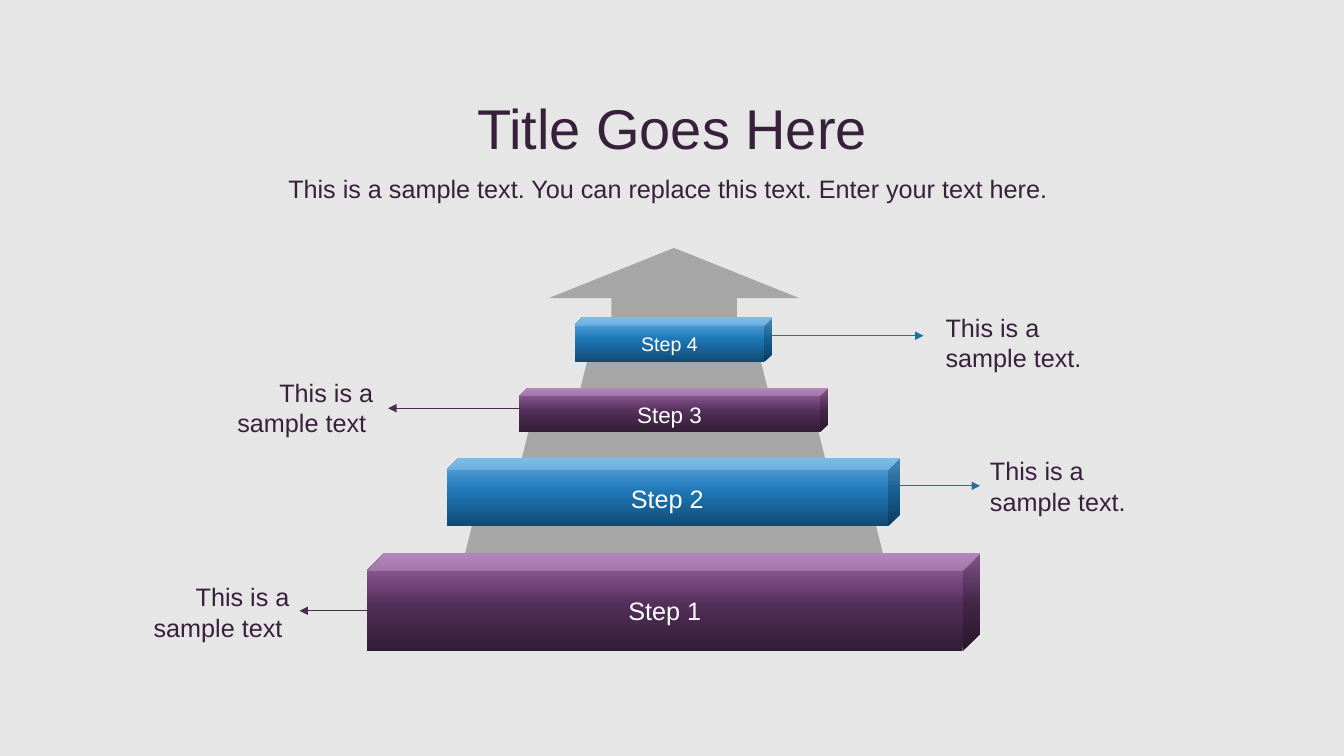
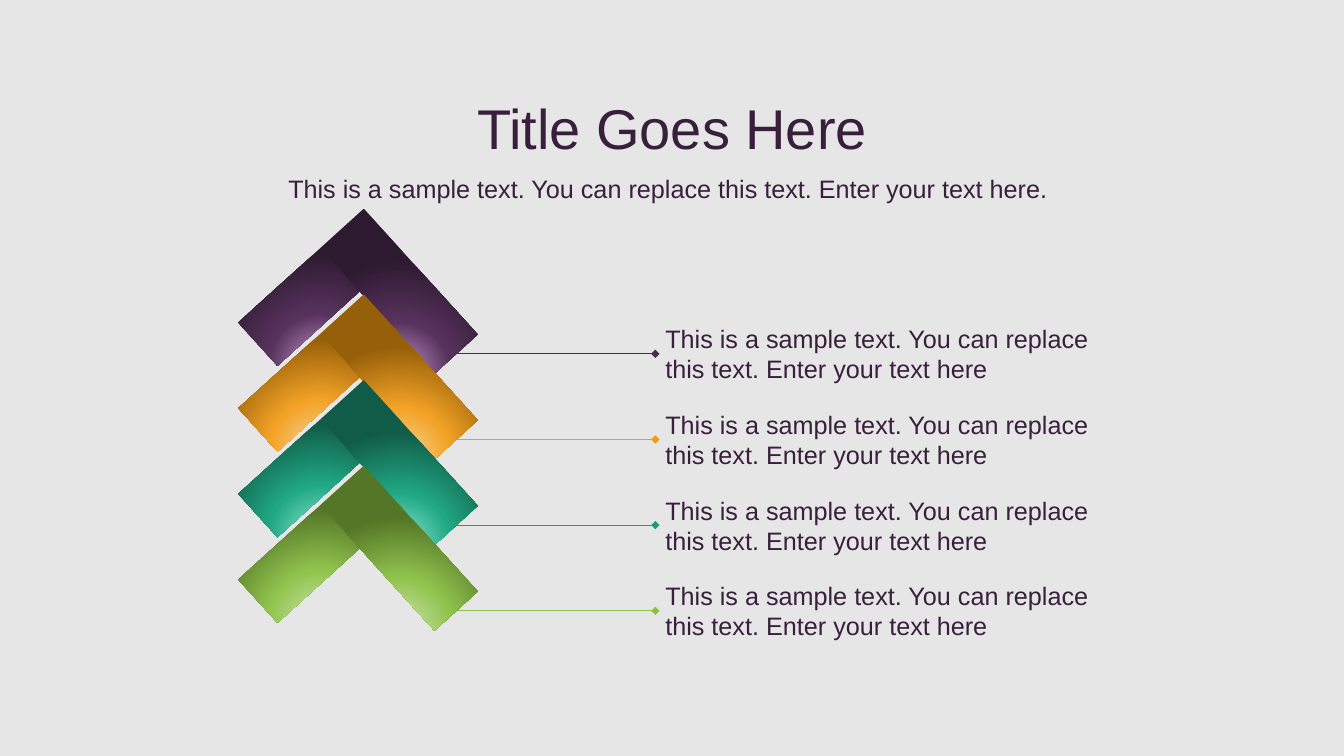
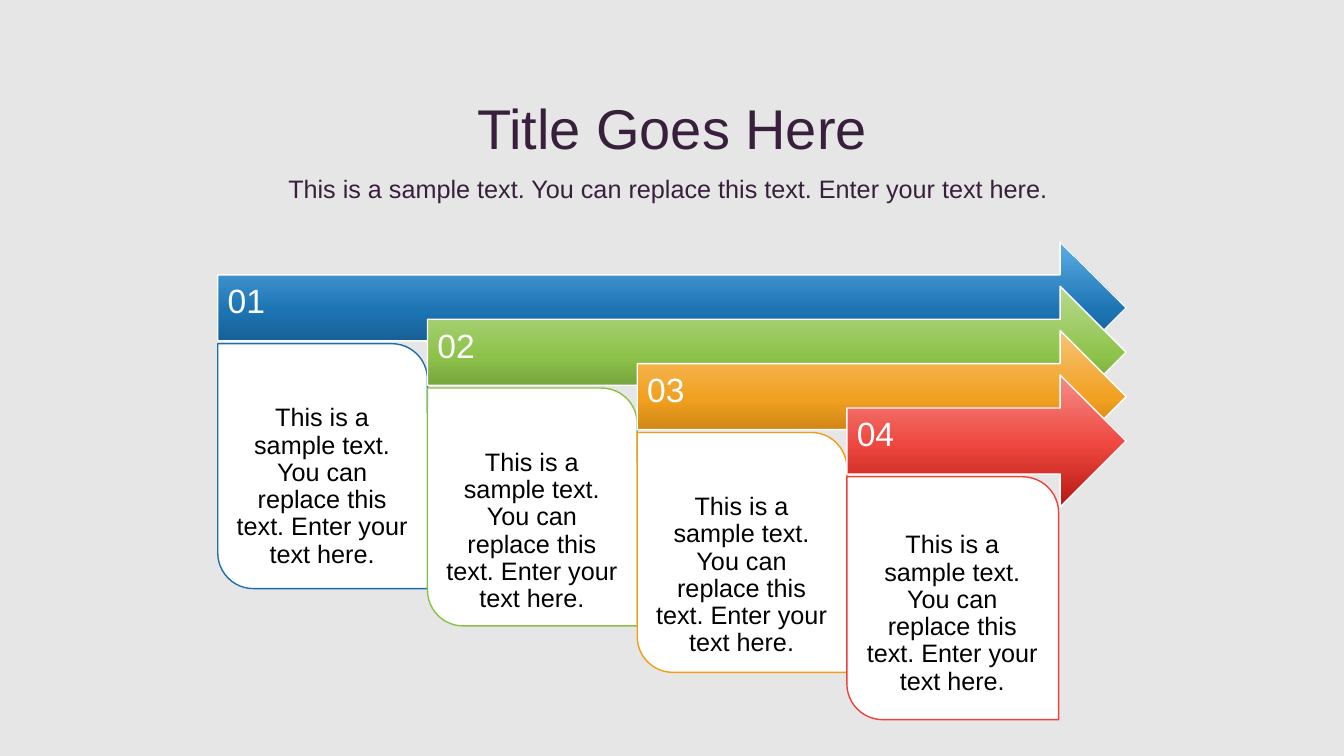
from lxml import etree
from pptx import Presentation
from pptx.dml.color import RGBColor
from pptx.enum.shapes import MSO_CONNECTOR, MSO_SHAPE
from pptx.enum.text import MSO_ANCHOR, MSO_AUTO_SIZE, PP_ALIGN
from pptx.oxml.ns import qn
from pptx.util import Inches, Pt

LEFT, MID, RIGHT = PP_ALIGN.LEFT, PP_ALIGN.CENTER, PP_ALIGN.RIGHT
TOP, CENTER = MSO_ANCHOR.TOP, MSO_ANCHOR.MIDDLE
FIXED = MSO_AUTO_SIZE.NONE
STRAIGHT = MSO_CONNECTOR.STRAIGHT
CUBE, BLOCK, CARD = MSO_SHAPE.CUBE, MSO_SHAPE.RECTANGLE, MSO_SHAPE.ROUND_2_DIAG_RECTANGLE
UP, ARROW, WEDGE = MSO_SHAPE.UP_ARROW, MSO_SHAPE.RIGHT_ARROW, MSO_SHAPE.TRAPEZOID

INK, PAPER, GRAY, WHITE, BLACK = "38203C", "E7E6E6", "A6A6A6", "FFFFFF", "000000"
PLUM, BLUE, GOLD, TEAL, LIME, RED = "4B2B50", "1B6FAB", "F19D19", "1D9A78", "8BC145", "ED423A"
BARS = {
    PLUM: ("321D36", "522F58", "A468AE"),
    BLUE: ("124A73", "1C74B3", "5DADE5"),
    LIME: ("5D842C", "8EC34B", "B9DA8F"),
    GOLD: ("A86B0A", "F1A020", "F7C475"),
    RED: ("B51811", "EE4840", "F48E89"),
}
GLOWS = {
    PLUM: ("C39AC9", "57325D", "2D1A30"),
    GOLD: ("F9D8A3", "F2A225", "965F09"),
    TEAL: ("91EAD2", "20A883", "115C48"),
    LIME: ("D1E6B5", "91C44E", "547627"),
}
LONG = "This is a sample text. You can replace this text. Enter your text here"


def paint(hue):
    """Turn a hex string into a colour."""
    return RGBColor.from_string(hue)


def place(left, top, width, height):
    """Turn a box in inches into lengths."""
    return Inches(left), Inches(top), Inches(width), Inches(height)


class Deck:
    """Holds the style and the current slide."""

    font = "Arial"

    def __init__(self):
        """Start an empty wide deck."""
        self.show = Presentation()
        self.show.slide_width, self.show.slide_height = Inches(13.33), Inches(7.5)
        fill = self.show.slide_master.background.fill
        fill.solid()
        fill.fore_color.rgb = paint(PAPER)

    def page(self):
        """Add a slide with its heading and lead line."""
        self.slide = self.show.slides.add_slide(self.show.slide_layouts[0])
        title, lead = self.slide.placeholders
        self.head(title, (0.82, 0.9, 11.69, 0.72), "Title Goes Here", 40)
        self.head(lead, (0.78, 1.6, 11.69, 0.53), LONG + ".", 18)

    def head(self, item, box, text, size):
        """Move and fill a placeholder."""
        item.left, item.top, item.width, item.height = place(*box)
        self.label(item, text, size, INK, MID)

    def label(self, item, text, size, hue, align, anchor=CENTER, pads=None, pitch=None):
        """Put one run of text in a shape."""
        frame = item.text_frame
        frame.word_wrap = True
        frame.auto_size = FIXED
        frame.vertical_anchor = anchor
        if pads:
            (frame.margin_left, frame.margin_top,
             frame.margin_right, frame.margin_bottom) = place(*pads)
        para = frame.paragraphs[0]
        para.alignment = align
        para.space_before = Pt(0)
        if pitch:
            para.line_spacing = pitch
        run = para.add_run()
        run.text = text
        run.font.name, run.font.size = self.font, Pt(size)
        run.font.color.rgb = paint(hue)

    def text(self, box, text, size=18, hue=INK, align=LEFT, **more):
        """Add a text box."""
        item = self.slide.shapes.add_textbox(*place(*box))
        self.label(item, text, size, hue, align, **more)

    def shape(self, kind, box, fill, edge=None, turn=0, adj=()):
        """Add a preset shape with a plain fill."""
        item = self.slide.shapes.add_shape(kind, *place(*box))
        item.shadow.inherit = False
        item.rotation = turn
        for spot, value in enumerate(adj):
            item.adjustments[spot] = value
        item.fill.solid()
        item.fill.fore_color.rgb = paint(fill)
        if edge:
            item.line.color.rgb = paint(edge)
            item.line.width = Pt(1)
        else:
            item.line.fill.background()
        return item

    def blend(self, item, hues, mid, glow=False):
        """Give a shape a rising or a round gradient."""
        item.fill.gradient()
        grad = item._element.spPr.find(qn("a:gradFill"))
        grad.clear()
        grad.set("rotWithShape", "0" if glow else "1")
        stops = etree.SubElement(grad, qn("a:gsLst"))
        for spot, hue in zip((0, mid, 100), hues):
            stop = etree.SubElement(stops, qn("a:gs"), pos=str(spot * 1000))
            etree.SubElement(stop, qn("a:srgbClr"), val=hue)
        if glow:
            ring = etree.SubElement(grad, qn("a:path"), {"path": "circle"})
            etree.SubElement(ring, qn("a:fillToRect"),
                             l="50000", t="130000", r="50000", b="-30000")
        else:
            etree.SubElement(grad, qn("a:lin"), ang="16200000", scaled="0")

    def line(self, start, end, y, hue, tip):
        """Add a thin level line with a tip at its end."""
        item = self.slide.shapes.add_connector(
            STRAIGHT, Inches(start), Inches(y), Inches(end), Inches(y))
        item.line.color.rgb = paint(hue)
        item.line.width = Pt(0.5)
        props = item._element.spPr
        etree.SubElement(props.find(qn("a:ln")), qn("a:tailEnd"), type=tip)
        etree.SubElement(props, qn("a:effectLst"))


def steps(deck):
    """Build the stair of four steps."""
    deck.page()
    deck.shape(UP, (5.44, 2.46, 2.49, 0.87), GRAY, adj=(0.5, 0.574))
    for left, top, width in ((5.75, 3.39, 1.87), (5.15, 4.16, 3.06), (4.56, 5.21, 4.25)):
        deck.shape(WEDGE, (left, top, width, 0.49), GRAY)
    bars = (
        ((3.64, 5.49, 6.08, 0.97), PLUM, 18),
        ((4.43, 4.54, 4.5, 0.68), BLUE, 18),
        ((5.15, 3.85, 3.06, 0.44), PLUM, 16),
        ((5.7, 3.15, 1.96, 0.44), BLUE, 14),
    )
    for count, (box, hue, size) in enumerate(bars, 1):
        bar = deck.shape(CUBE, box, hue, adj=(0.177,))
        deck.blend(bar, BARS[hue], 48)
        deck.label(bar, f"Step {count}", size, WHITE, MID)
    notes = (
        (7.66, 9.16, 3.33, BLUE, (9.28, 3.12, 1.95, 0.56)),
        (5.15, 3.85, 4.05, PLUM, (2.01, 3.76, 1.79, 0.56)),
        (8.93, 9.72, 4.82, BLUE, (9.72, 4.54, 1.95, 0.56)),
        (3.64, 2.97, 6.06, PLUM, (1.37, 5.79, 1.6, 0.56)),
    )
    for start, end, y, hue, box in notes:
        deck.line(start, end, y, hue, "triangle")
        if end > start:
            deck.text(box, "This is a sample text.")
        else:
            deck.text(box, "This is a sample text ", align=RIGHT)


def peaks(deck):
    """Build the stack of four chevrons."""
    deck.page()
    for row, (hue, glow) in enumerate(GLOWS.items()):
        drop = 0.85 * row
        deck.line(4.53, 6.5, 3.51 + drop, hue, "diamond")
        for left, top, turn in ((2.34, 2.56, 317.8), (3.12, 2.6, 227.8)):
            side = deck.shape(BLOCK, (left, top + drop, 1.68, 0.58), hue, turn=turn)
            deck.blend(side, glow, 46, glow=True)
        deck.text((6.5, 3.11 + drop, 4.49, 0.8), LONG)


def arrows(deck):
    """Build the four arrows with their cards."""
    deck.page()
    cards = ((BLUE, 2.08, 2.43, 0.51), (LIME, 2.08, 2.36, 0.51),
             (GOLD, 2.08, 2.38, 0.51), (RED, 2.1, 2.41, 0.45))
    for col, (hue, width, height, pad) in enumerate(cards):
        left, top = 2.16 + 2.08 * col, 2.4 + 0.44 * col
        span = 11.17 - left
        arrow = deck.shape(ARROW, (left, top, span, 1.31), hue, WHITE, adj=(0.5, 0.5))
        deck.blend(arrow, BARS[hue], 48)
        deck.text((left, top + 0.33, span - 0.33, 0.66), f"{col + 1:02}", 24, WHITE,
                  pads=(0.1, 0.1, 0.28, 0.21), pitch=0.9)
        deck.shape(CARD, (left, top + 1.01, width, height), WHITE, hue, adj=(0, 0.17))
        deck.text((left + 0.1, top + 1.11, width - 0.21, height - 0.21), LONG + ".",
                  hue=BLACK, align=MID, anchor=TOP, pads=(0.08, pad, 0.08, 0.08), pitch=0.9)


def main():
    """Build and save the deck."""
    deck = Deck()
    for build in (steps, peaks, arrows):
        build(deck)
    deck.show.save("out.pptx")


if __name__ == "__main__":
    main()
